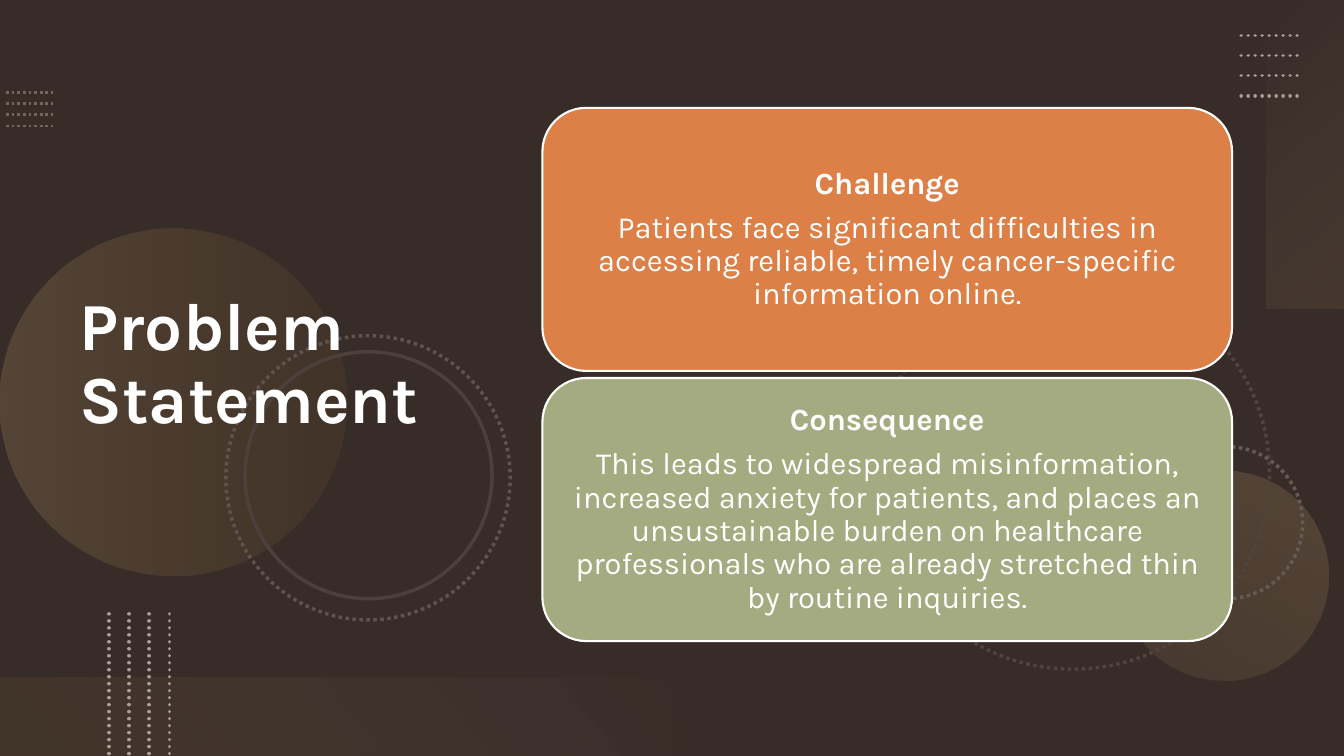
from lxml import etree
from pptx import Presentation
from pptx.dml.color import RGBColor
from pptx.enum.dml import MSO_LINE
from pptx.enum.shapes import MSO_CONNECTOR, MSO_SHAPE
from pptx.enum.text import MSO_ANCHOR, PP_ALIGN
from pptx.oxml import parse_xml
from pptx.oxml.ns import nsdecls, qn
from pptx.util import Inches, Pt

FONT = "Karla"
WHITE = "FFFFFF"
TITLE = "Problem Statement"
CARDS = [
    ("Challenge", "Patients face significant difficulties in accessing reliable, "
     "timely cancer-specific information online.", "DD8047"),
    ("Consequence", "This leads to widespread misinformation, increased anxiety for "
     "patients, and places an unsustainable burden on healthcare professionals who "
     "are already stretched thin by routine inquiries.", "A5AB81"),
]
# left, top, diameter, rotation, colour, dotted
RINGS = [
    (8.69, 2.74, 3.9, 75, "4F4440", True),
    (11.41, 4.43, 1.51, 270, "655A55", True),
    (2.24, 3.33, 2.82, 75, "5E534E", True),
    (2.43, 3.49, 2.45, 75, "4C403C", False),
]
# shape, box, rotation, gradient angle, stops (position, colour, opacity)
GLOWS = [
    (MSO_SHAPE.OVAL, (0, 2.27, 3.44, 3.44), 270, 90,
     [(0, "D0AF72", 20), (100, "A17C36", 10)]),
    (MSO_SHAPE.OVAL, (11.1, 4.67, 2.08, 2.08), 210, 90,
     [(0, "D0AF72", 10), (100, "D0AF72", 20)]),
    (MSO_SHAPE.RECTANGLE, (11.42, 1.14, 3.06, 0.78), 270, 140,
     [(0, "F7F1E7", 0), (100, "D0AF72", 10)]),
    (MSO_SHAPE.RECTANGLE, (0, 6.72, 6.67, 0.78), 180, 140,
     [(10, "A17C36", 10), (100, "F3EBDB", 0)]),
]
# first line start, line vector, step to the next line, colour, weight, cap
DOT_ROWS = [
    ((0.06, 0.92), (0.47, 0), (0, 0.11), "75645E", 2, "flat"),
    ((12.31, 0.35), (0.6, 0), (0, 0.2), "A79F9A", 2.5, "rnd"),
    ((1.08, 6.09), (0, 1.41), (0.2, 0), "A79F9A", 2.5, "rnd"),
]
ROW_LINES = 4

prs = Presentation()
prs.slide_width, prs.slide_height = Inches(13.33), Inches(7.5)
s = prs.slides.add_slide(prs.slide_layouts[5])


def rgb(color):
    return RGBColor.from_string(color)


def add_shape(kind, box, fill=None, line=None, weight=1.5, rotation=0):
    sp = s.shapes.add_shape(kind, *map(Inches, box))
    sp.shadow.inherit = False
    sp.rotation = rotation
    if fill:
        sp.fill.solid()
        sp.fill.fore_color.rgb = rgb(fill)
    else:
        sp.fill.background()
    if line:
        sp.line.color.rgb = rgb(line)
        sp.line.width = Pt(weight)
    else:
        sp.line.fill.background()
    return sp


def set_gradient(sp, angle, stops):
    stops_xml = "".join(
        f'<a:gs pos="{pos * 1000}"><a:srgbClr val="{color}">'
        f'<a:alpha val="{opacity * 1000}"/></a:srgbClr></a:gs>'
        for pos, color, opacity in stops)
    grad = parse_xml(
        f'<a:gradFill {nsdecls("a")} rotWithShape="1"><a:gsLst>{stops_xml}</a:gsLst>'
        f'<a:lin ang="{angle * 60000}" scaled="0"/></a:gradFill>')
    no_fill = sp.element.spPr.find(qn("a:noFill"))
    sp.element.spPr.replace(no_fill, grad)


def format_paragraph(p, size, bold):
    p.line_spacing = 0.9
    p.font.name, p.font.size, p.font.bold = FONT, Pt(size), bold
    p.font.color.rgb = rgb(WHITE)


# Background with a dark veil
s.background.fill.solid()
s.background.fill.fore_color.rgb = rgb("775F55")
veil = add_shape(MSO_SHAPE.RECTANGLE, (0, 0, 13.33, 7.5), "000000")
veil_color = veil.element.spPr.find(qn("a:solidFill"))[0]
etree.SubElement(veil_color, qn("a:alpha")).set("val", "53000")

# Glowing discs and bands, then rings
for kind, box, rotation, angle, stops in GLOWS:
    set_gradient(add_shape(kind, box, rotation=rotation), angle, stops)
for left, top, size, rotation, color, dotted in RINGS:
    ring = add_shape(MSO_SHAPE.OVAL, (left, top, size, size), line=color,
                     weight=2.5, rotation=rotation)
    if dotted:
        ring.line.dash_style = MSO_LINE.ROUND_DOT

# Rows of dotted lines
for (x, y), (dx, dy), (step_x, step_y), color, weight, cap in DOT_ROWS:
    for i in range(ROW_LINES):
        x1, y1 = x + i * step_x, y + i * step_y
        c = s.shapes.add_connector(MSO_CONNECTOR.STRAIGHT, Inches(x1), Inches(y1),
                                   Inches(x1 + dx), Inches(y1 + dy))
        c.line.color.rgb = rgb(color)
        c.line.width = Pt(weight)
        c.line.dash_style = MSO_LINE.ROUND_DOT
        c._element.spPr.find(qn("a:ln")).set("cap", cap)
        etree.SubElement(c._element.spPr, qn("a:effectLst"))

# Title, moved in front of the decoration
title = s.shapes.title
title.left, title.top, title.width, title.height = map(Inches, (0.69, 0.54, 4.59, 6.17))
s.shapes._spTree.append(title.element)
title.text = TITLE
title.text_frame.word_wrap = True
title.text_frame.vertical_anchor = MSO_ANCHOR.MIDDLE
p = title.text_frame.paragraphs[0]
p.alignment = PP_ALIGN.LEFT
format_paragraph(p, 48, True)

# Cards
CARD_LEFT, CARD_TOP, CARD_WIDTH, CARD_HEIGHT, CARD_STEP = 5.38, 1.07, 6.84, 2.61, 2.68
for i, (heading, body, color) in enumerate(CARDS):
    card = add_shape(MSO_SHAPE.ROUNDED_RECTANGLE,
                     (CARD_LEFT, CARD_TOP + i * CARD_STEP, CARD_WIDTH, CARD_HEIGHT),
                     color, WHITE)
    tf = card.text_frame
    tf.word_wrap = True
    tf.vertical_anchor = MSO_ANCHOR.MIDDLE
    tf.margin_left = tf.margin_right = tf.margin_top = tf.margin_bottom = Inches(0.09)
    tf.text = f"{heading}\n{body}"
    for p, bold in zip(tf.paragraphs, (True, False)):
        p.alignment = PP_ALIGN.CENTER
        p.space_after = Pt(7.7)
        format_paragraph(p, 22, bold)

prs.save("out.pptx")
